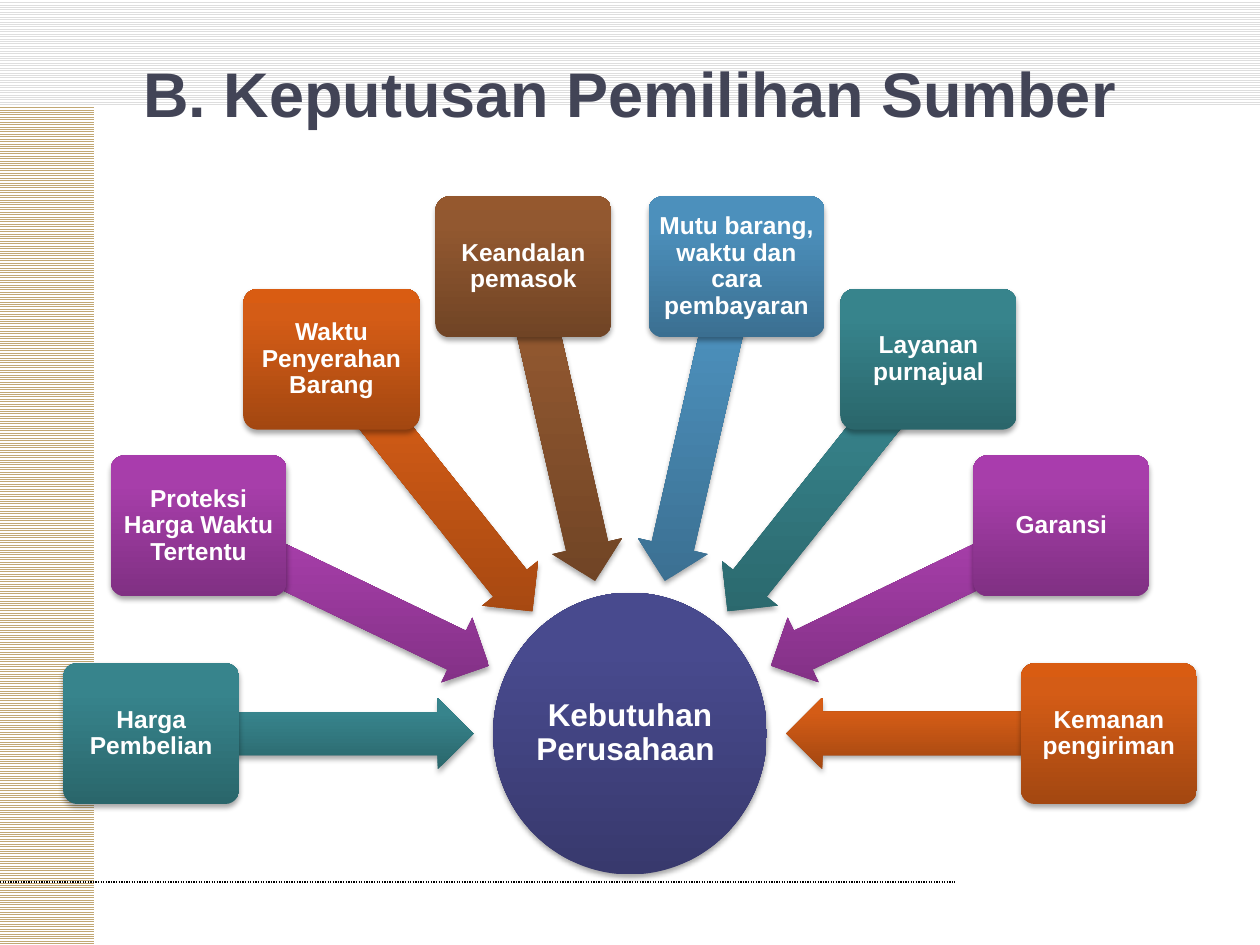
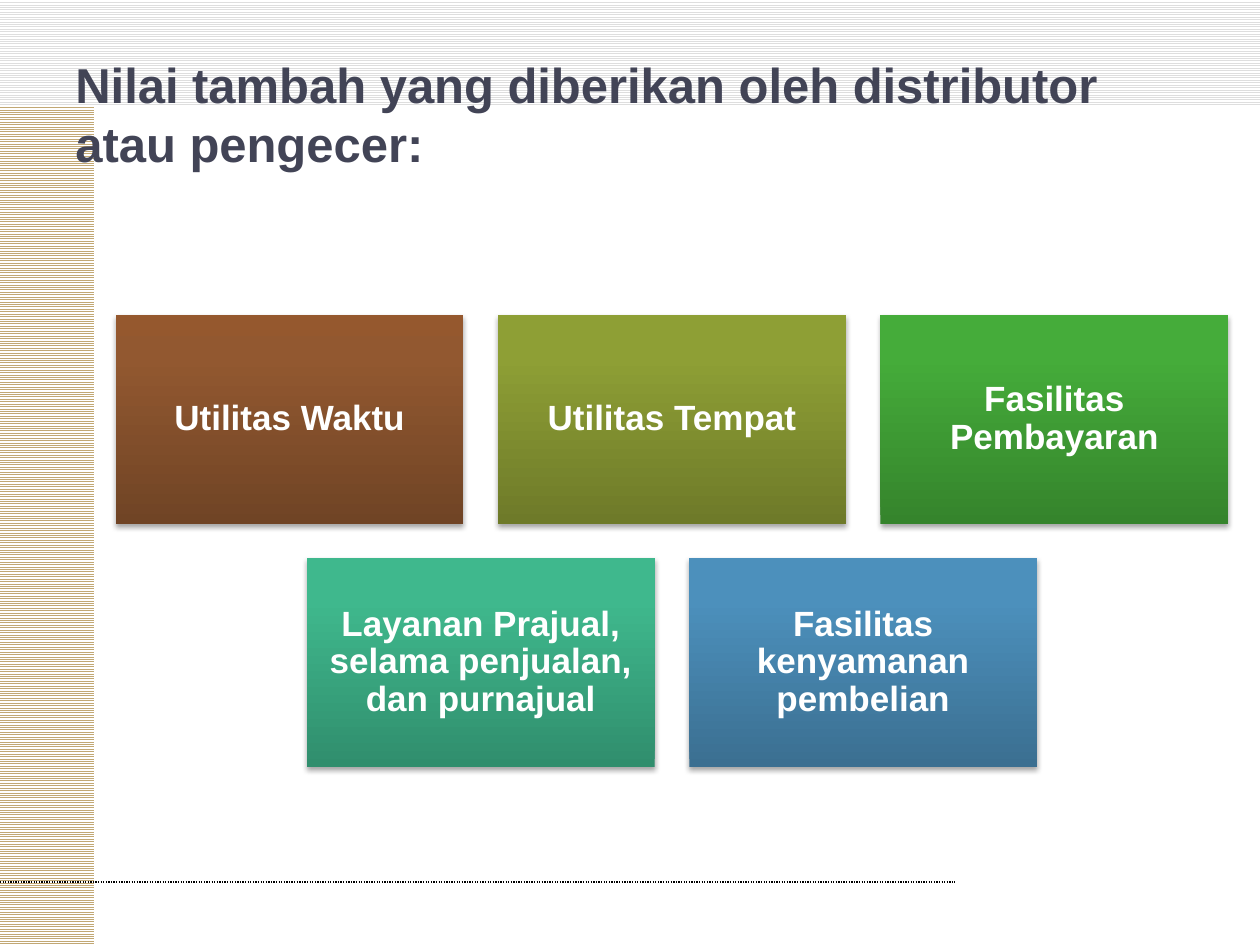
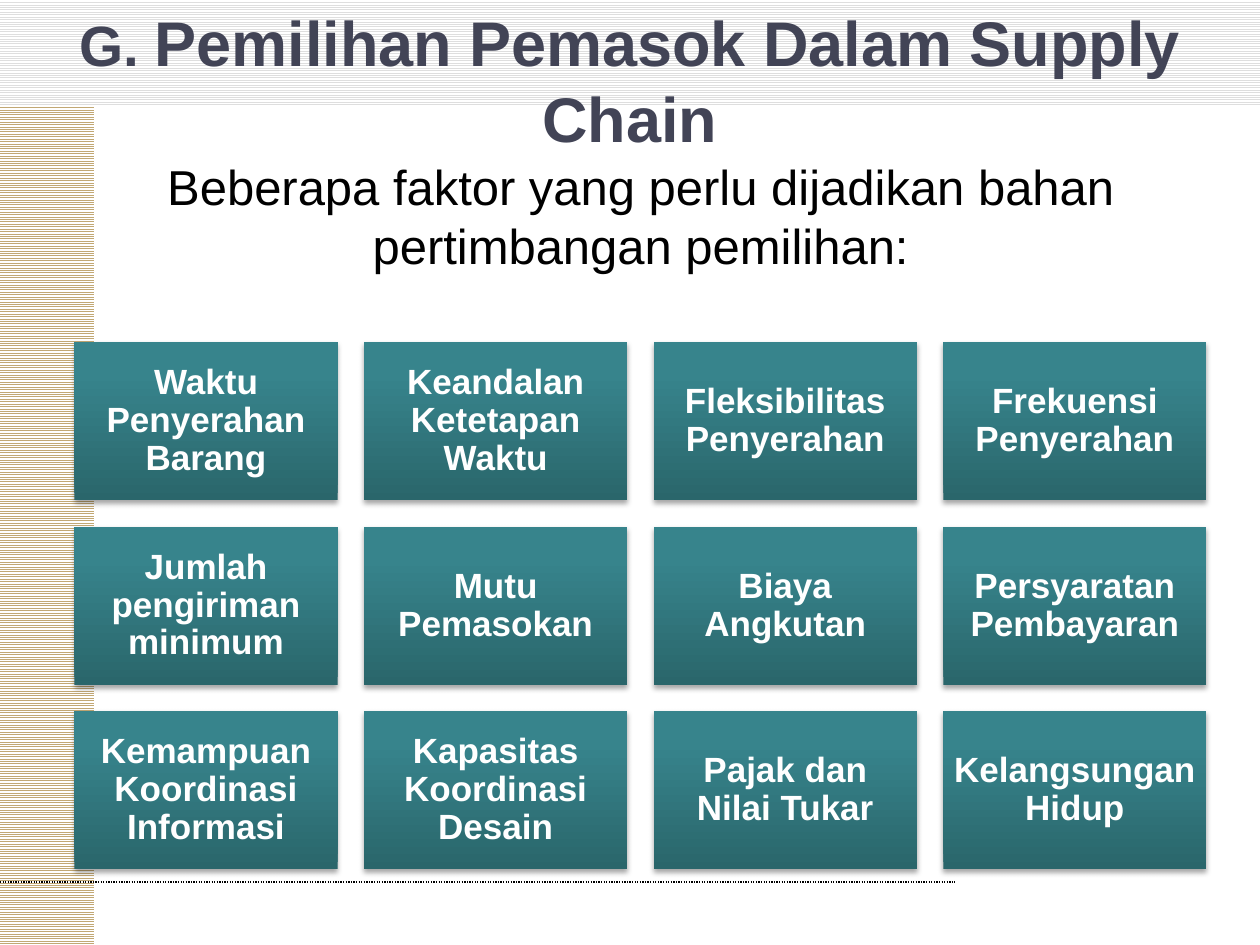
import copy
import math

from lxml import etree
from pptx import Presentation
from pptx.dml.color import RGBColor
from pptx.enum import dml, shapes, text
from pptx.oxml import ns
from pptx.util import Pt

# Shared colours and font
FONT = "Arial"
WHITE = RGBColor(0xFF, 0xFF, 0xFF)
BLACK = RGBColor(0x00, 0x00, 0x00)
TITLE_COLOUR = RGBColor(0x42, 0x44, 0x56)
TOP_BAND = RGBColor(0xDE, 0xDE, 0xDE)
SIDE_BAND = RGBColor(0xC2, 0xA8, 0x74)

# Gradients from bottom to top, with stops at 0, 80 and 100 percent
GRADIENT_STOPS = (0, 0.8, 1)
INDIGO = (RGBColor(0x38, 0x39, 0x6D), RGBColor(0x48, 0x4A, 0x8E), RGBColor(0x47, 0x49, 0x90))
TEAL = (RGBColor(0x2A, 0x66, 0x6B), RGBColor(0x37, 0x84, 0x8C), RGBColor(0x36, 0x86, 0x8E))
PURPLE = (RGBColor(0x80, 0x30, 0x83), RGBColor(0xA7, 0x3E, 0xAA), RGBColor(0xA9, 0x3C, 0xAD))
ORANGE = (RGBColor(0xA3, 0x47, 0x11), RGBColor(0xD4, 0x5C, 0x16), RGBColor(0xD9, 0x5C, 0x12))
BROWN = (RGBColor(0x70, 0x44, 0x25), RGBColor(0x92, 0x58, 0x30), RGBColor(0x95, 0x58, 0x2E))
BLUE = (RGBColor(0x3B, 0x6F, 0x91), RGBColor(0x4C, 0x90, 0xBC), RGBColor(0x4A, 0x91, 0xBF))
OLIVE = (RGBColor(0x6E, 0x7A, 0x29), RGBColor(0x8E, 0x9F, 0x35), RGBColor(0x90, 0xA2, 0x33))
GREEN = (RGBColor(0x35, 0x84, 0x2C), RGBColor(0x45, 0xAC, 0x3A), RGBColor(0x43, 0xAF, 0x38))
MINT = (RGBColor(0x30, 0x8E, 0x6D), RGBColor(0x3F, 0xB8, 0x8D), RGBColor(0x3D, 0xBB, 0x8F))

CENTER, LEFT = text.PP_ALIGN.CENTER, text.PP_ALIGN.LEFT


def add_gradient_shape(slide, kind, left, top, width, height, colours):
    """Add a preset shape with a vertical gradient and a soft shadow below."""
    shape = slide.shapes.add_shape(kind, Pt(left), Pt(top), Pt(width), Pt(height))
    shape.line.fill.background()
    shape.fill.gradient()
    shape.fill.gradient_angle = 90
    properties = shape._element.spPr
    gradient = properties.find(ns.qn("a:gradFill"))
    gradient.set("rotWithShape", "0")
    stop_list = gradient.find(ns.qn("a:gsLst"))
    stop_list.append(copy.deepcopy(stop_list[-1]))
    for stop, position, colour in zip(shape.fill.gradient_stops, GRADIENT_STOPS, colours):
        stop.position = position
        stop.color.rgb = colour
    shape.shadow.inherit = False
    shadow = etree.SubElement(
        properties.find(ns.qn("a:effectLst")), ns.qn("a:outerShdw"),
        blurRad=str(Pt(3.1)), dist=str(Pt(1.8)), dir="5400000", rotWithShape="0")
    shadow_colour = etree.SubElement(shadow, ns.qn("a:srgbClr"), val="000000")
    etree.SubElement(shadow_colour, ns.qn("a:alpha"), val="35000")
    return shape


def format_text(shape, size, colour, bold=True, align=CENTER, margin=None, spacing=None):
    """Format the single paragraph of a shape; margin=None keeps the default insets."""
    frame = shape.text_frame
    frame.word_wrap = True
    frame.vertical_anchor = text.MSO_ANCHOR.MIDDLE
    if margin is not None:
        frame.margin_left = frame.margin_right = Pt(margin)
        frame.margin_top = frame.margin_bottom = Pt(margin)
    paragraph = frame.paragraphs[0]
    paragraph.alignment = align
    paragraph.line_spacing = spacing
    for run in paragraph.runs:
        run.font.name = FONT
        run.font.size = Pt(size)
        run.font.bold = bold
        run.font.color.rgb = colour


presentation = Presentation()
presentation.slide_width = Pt(720)
presentation.slide_height = Pt(540)

# Bands, footer line and title of every slide
BANDS = [(0, 0, 720, 60, TOP_BAND), (0, 60, 54, 480, SIDE_BAND)]
TITLES = [  # title runs, top, height, size, alignment
    (["B. Keputusan Pemilihan Sumber"], 21.6, 62.6, 36, CENTER),
    (["Nilai tambah yang diberikan oleh distributor atau pengecer:"], 21.6, 86.4, 28, LEFT),
    (["G. ", "Pemilihan Pemasok Dalam Supply Chain"], 12.2, 66.2, 36, CENTER),
]
slides = []
for title_runs, top, height, size, align in TITLES:
    slide = presentation.slides.add_slide(presentation.slide_layouts[6])
    slides.append(slide)
    for band_left, band_top, band_width, band_height, colour in BANDS:
        band = slide.shapes.add_shape(shapes.MSO_SHAPE.RECTANGLE, Pt(band_left), Pt(band_top),
                                      Pt(band_width), Pt(band_height))
        band.shadow.inherit = False
        band.line.fill.background()
        band.fill.patterned()
        band.fill.pattern = dml.MSO_PATTERN.LIGHT_HORIZONTAL
        band.fill.fore_color.rgb = colour
        band.fill.back_color.rgb = WHITE
    footer = slide.shapes.add_connector(shapes.MSO_CONNECTOR.STRAIGHT,
                                        Pt(0), Pt(504), Pt(546), Pt(504))
    footer.line.color.rgb = BLACK
    footer.line.width = Pt(0.75)
    footer.line.dash_style = dml.MSO_LINE.ROUND_DOT
    etree.SubElement(footer._element.spPr, ns.qn("a:effectLst"))
    title = slide.shapes.add_textbox(Pt(36), Pt(top), Pt(648), Pt(height))
    title.text_frame.text = title_runs[0]
    for words in title_runs[1:]:
        title.text_frame.paragraphs[0].add_run().text = words
    format_text(title, size, TITLE_COLOUR, align=align)

needs_slide, value_slide, supplier_slide = slides

# The numbering of the last title is a little smaller
title.text_frame.paragraphs[0].runs[0].font.size = Pt(32.4)

# Slide 1: company needs in the middle, factors on a half circle around them
HUB_X, HUB_Y = 360, 419.2
HUB_WIDTH, HUB_HEIGHT = 156.4, 161
FACTOR_RADIUS, FACTOR_WIDTH, FACTOR_HEIGHT = 273.6, 100.6, 80.5
ARROW_RADIUS, ARROW_LENGTH, ARROW_HEIGHT = 181.6, 184.4, 41
FACTORS = [
    ("Harga Pembelian", TEAL),
    ("Proteksi Harga Waktu Tertentu", PURPLE),
    ("Waktu Penyerahan Barang", ORANGE),
    ("Keandalan pemasok", BROWN),
    ("Mutu barang, waktu dan cara pembayaran", BLUE),
    ("Layanan purnajual", TEAL),
    ("Garansi", PURPLE),
    ("Kemanan pengiriman", ORANGE),
]
hub = add_gradient_shape(needs_slide, shapes.MSO_SHAPE.OVAL, HUB_X - HUB_WIDTH / 2,
                         HUB_Y - HUB_HEIGHT / 2, HUB_WIDTH, HUB_HEIGHT, INDIGO)
hub.text_frame.text = "Kebutuhan Perusahaan "
format_text(hub, 18, WHITE, margin=0.9, spacing=0.9)

for index, (label, colours) in enumerate(FACTORS):
    rotation = 180 + index * 180 / (len(FACTORS) - 1)
    across, down = math.cos(math.radians(rotation)), math.sin(math.radians(rotation))
    arrow = add_gradient_shape(
        needs_slide, shapes.MSO_SHAPE.LEFT_ARROW,
        HUB_X + ARROW_RADIUS * across - ARROW_LENGTH / 2,
        HUB_Y + ARROW_RADIUS * down - ARROW_HEIGHT / 2,
        ARROW_LENGTH, ARROW_HEIGHT, colours)
    arrow.adjustments[0] = 0.6
    arrow.adjustments[1] = 0.5
    arrow.rotation = rotation % 360
    factor = add_gradient_shape(
        needs_slide, shapes.MSO_SHAPE.ROUNDED_RECTANGLE,
        HUB_X + FACTOR_RADIUS * across - FACTOR_WIDTH / 2,
        HUB_Y + FACTOR_RADIUS * down - FACTOR_HEIGHT / 2,
        FACTOR_WIDTH, FACTOR_HEIGHT, colours)
    factor.adjustments[0] = 0.1
    factor.text_frame.text = label
    format_text(factor, 14, WHITE, margin=2, spacing=0.9)

# Slides 2 and 3: centred rows of tiles
VALUE_ROWS = [
    [("Utilitas Waktu", BROWN), ("Utilitas Tempat", OLIVE), ("Fasilitas Pembayaran", GREEN)],
    [("Layanan Prajual, selama penjualan, dan purnajual", MINT),
     ("Fasilitas kenyamanan pembelian", BLUE)],
]
SUPPLIER_ROWS = [[(label, TEAL) for label in row] for row in [
    ["Waktu Penyerahan Barang", "Keandalan Ketetapan Waktu",
     "Fleksibilitas Penyerahan", "Frekuensi Penyerahan"],
    ["Jumlah pengiriman minimum", "Mutu Pemasokan",
     "Biaya Angkutan", "Persyaratan Pembayaran"],
    ["Kemampuan Koordinasi Informasi", "Kapasitas Koordinasi Desain",
     "Pajak dan Nilai Tukar", "Kelangsungan Hidup"],
]]
GRIDS = [  # slide, rows, centre, top, tile width, tile height, gap
    (value_slide, VALUE_ROWS, 384, 180, 198.7, 119.2, 19.8),
    (supplier_slide, SUPPLIER_ROWS, 366, 195.6, 150.4, 90.3, 15.1),
]
for slide, rows, centre, grid_top, width, height, gap in GRIDS:
    for row_index, row in enumerate(rows):
        row_left = centre - (len(row) * (width + gap) - gap) / 2
        for column, (label, colours) in enumerate(row):
            tile = add_gradient_shape(
                slide, shapes.MSO_SHAPE.RECTANGLE, row_left + column * (width + gap),
                grid_top + row_index * (height + gap), width, height, colours)
            tile.text_frame.text = label
            format_text(tile, 20, WHITE, margin=6, spacing=0.9)

# Slide 3: introduction below the title
introduction = supplier_slide.shapes.add_textbox(Pt(30), Pt(90), Pt(672), Pt(66))
introduction.text_frame.text = "Beberapa faktor yang perlu dijadikan bahan pertimbangan pemilihan:"
format_text(introduction, 28, BLACK, bold=False)

presentation.save("out.pptx")
